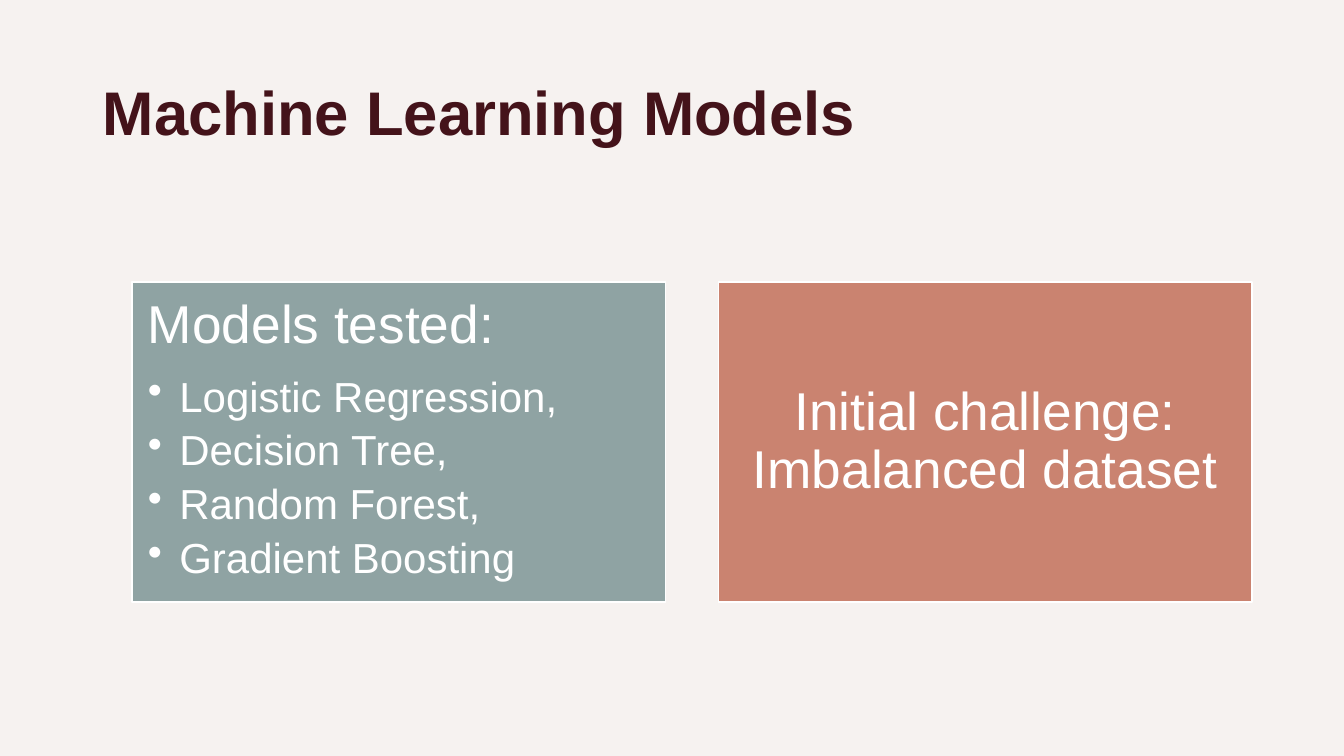
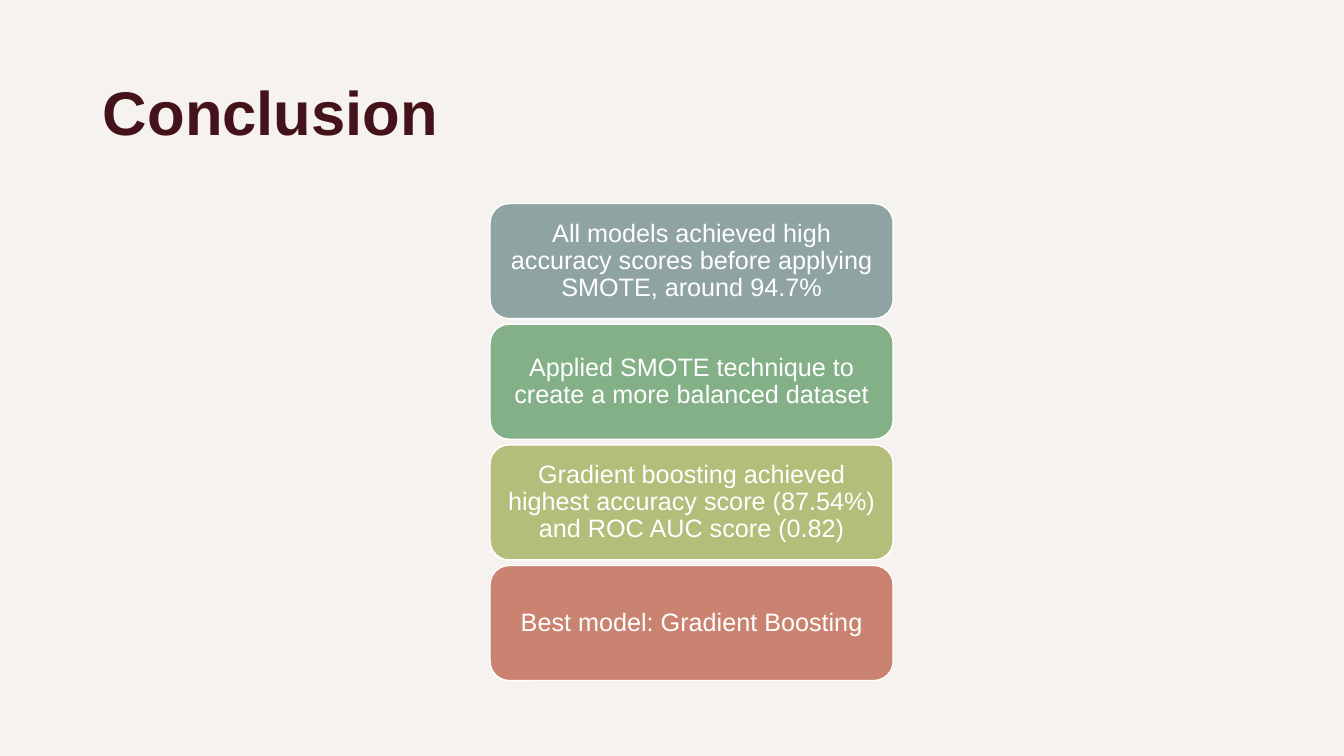
from lxml.etree import SubElement
from pptx import Presentation
from pptx.dml.color import RGBColor
from pptx.enum.shapes import MSO_SHAPE as Preset
from pptx.enum.text import MSO_ANCHOR as Anchor, PP_ALIGN as Align
from pptx.oxml.ns import qn
from pptx.util import Cm, Pt

# Shared look
FONT = "Arial"
COLORS = {
    "background": "F6F2F0",
    "title": "44131A",
    "white": "FFFFFF",
    "slate": "8FA3A3",
    "green": "84B087",
    "olive": "B4BD7A",
    "clay": "CA8370",
}

# Content
MODELS_TITLE = "Machine Learning Models"
MODELS_HEADING = "Models tested:"
MODELS = ["Logistic Regression,", "Decision Tree,", "Random Forest,", "Gradient Boosting"]
CHALLENGE = "Initial challenge: Imbalanced dataset"

CONCLUSION_TITLE = "Conclusion"
CONCLUSIONS = [
    ("All models achieved high accuracy scores before applying SMOTE, around 94.7%", "slate"),
    ("Applied SMOTE technique to create a more balanced dataset", "green"),
    ("Gradient boosting achieved highest accuracy score (87.54%) and ROC AUC score (0.82)", "olive"),
    ("Best model: Gradient Boosting", "clay"),
]

# Geometry in centimetres
PANEL_LEFT, PANEL_TOP, PANEL_WIDTH, PANEL_HEIGHT, PANEL_GAP = 3.33, 7.11, 13.44, 8.06, 1.34
CARD_LEFT, CARD_TOP, CARD_WIDTH, CARD_HEIGHT, CARD_GAP = 12.35, 5.13, 10.16, 2.9, 0.14
PANEL_INSET = (0.4, 0.4)
CARD_INSET = (0.18, 0.1)


def rgb(name):
    return RGBColor.from_string(COLORS[name])


def style_font(font, size, color="white", bold=False):
    font.name = FONT
    font.size = Pt(size)
    font.bold = bold
    font.color.rgb = rgb(color)


def add_titled_slide(presentation, text):
    slide = presentation.slides.add_slide(presentation.slide_layouts[5])
    title = slide.shapes.title
    title.left, title.top, title.width, title.height = Cm(2.34), Cm(1.55), Cm(28.75), Cm(3.56)
    frame = title.text_frame
    frame.text = text
    frame.vertical_anchor = Anchor.TOP
    paragraph = frame.paragraphs[0]
    paragraph.alignment = Align.LEFT
    paragraph.line_spacing = 1.1
    style_font(paragraph.font, 44, "title", bold=True)
    return slide


def add_box(slide, preset, position, color, inset, anchor=Anchor.MIDDLE):
    """Add a filled box with a white outline and return its text frame."""
    shape = slide.shapes.add_shape(preset, *(Cm(length) for length in position))
    shape.shadow.inherit = False
    shape.fill.solid()
    shape.fill.fore_color.rgb = rgb(color)
    shape.line.color.rgb = rgb("white")
    shape.line.width = Pt(1)
    frame = shape.text_frame
    frame.word_wrap = True
    frame.vertical_anchor = anchor
    frame.margin_left = frame.margin_right = Cm(inset[0])
    frame.margin_top = frame.margin_bottom = Cm(inset[1])
    return frame


def write(paragraph, text, size, alignment=Align.CENTER, space_after=0, bullet=False):
    paragraph.text = text
    paragraph.alignment = alignment
    paragraph.line_spacing = 0.9
    paragraph.space_after = Pt(space_after)
    if bullet:
        properties = paragraph._p.get_or_add_pPr()
        properties.set("marL", str(Cm(0.79)))
        properties.set("indent", str(-Cm(0.79)))
        SubElement(properties, qn("a:buChar")).set("char", "•")
    style_font(paragraph.font, size)


def build_models(presentation):
    slide = add_titled_slide(presentation, MODELS_TITLE)
    left_panel, right_panel = (
        (PANEL_LEFT + column * (PANEL_WIDTH + PANEL_GAP), PANEL_TOP, PANEL_WIDTH, PANEL_HEIGHT)
        for column in range(2)
    )

    # Heading and bulleted list
    frame = add_box(slide, Preset.RECTANGLE, left_panel, "slate", PANEL_INSET, Anchor.TOP)
    write(frame.paragraphs[0], MODELS_HEADING, 38, Align.LEFT, space_after=14.5)
    for model in MODELS:
        write(frame.add_paragraph(), model, 30, Align.LEFT, space_after=6, bullet=True)

    # Challenge
    frame = add_box(slide, Preset.RECTANGLE, right_panel, "clay", PANEL_INSET)
    write(frame.paragraphs[0], CHALLENGE, 38)


def build_conclusion(presentation):
    slide = add_titled_slide(presentation, CONCLUSION_TITLE)
    for row, (text, color) in enumerate(CONCLUSIONS):
        top = CARD_TOP + row * (CARD_HEIGHT + CARD_GAP)
        position = (CARD_LEFT, top, CARD_WIDTH, CARD_HEIGHT)
        frame = add_box(slide, Preset.ROUNDED_RECTANGLE, position, color, CARD_INSET)
        write(frame.paragraphs[0], text, 18)


def main():
    presentation = Presentation()
    presentation.slide_width, presentation.slide_height = Cm(33.87), Cm(19.05)
    background = presentation.slide_master.background.fill
    background.solid()
    background.fore_color.rgb = rgb("background")
    build_models(presentation)
    build_conclusion(presentation)
    presentation.save("out.pptx")


if __name__ == "__main__":
    main()
